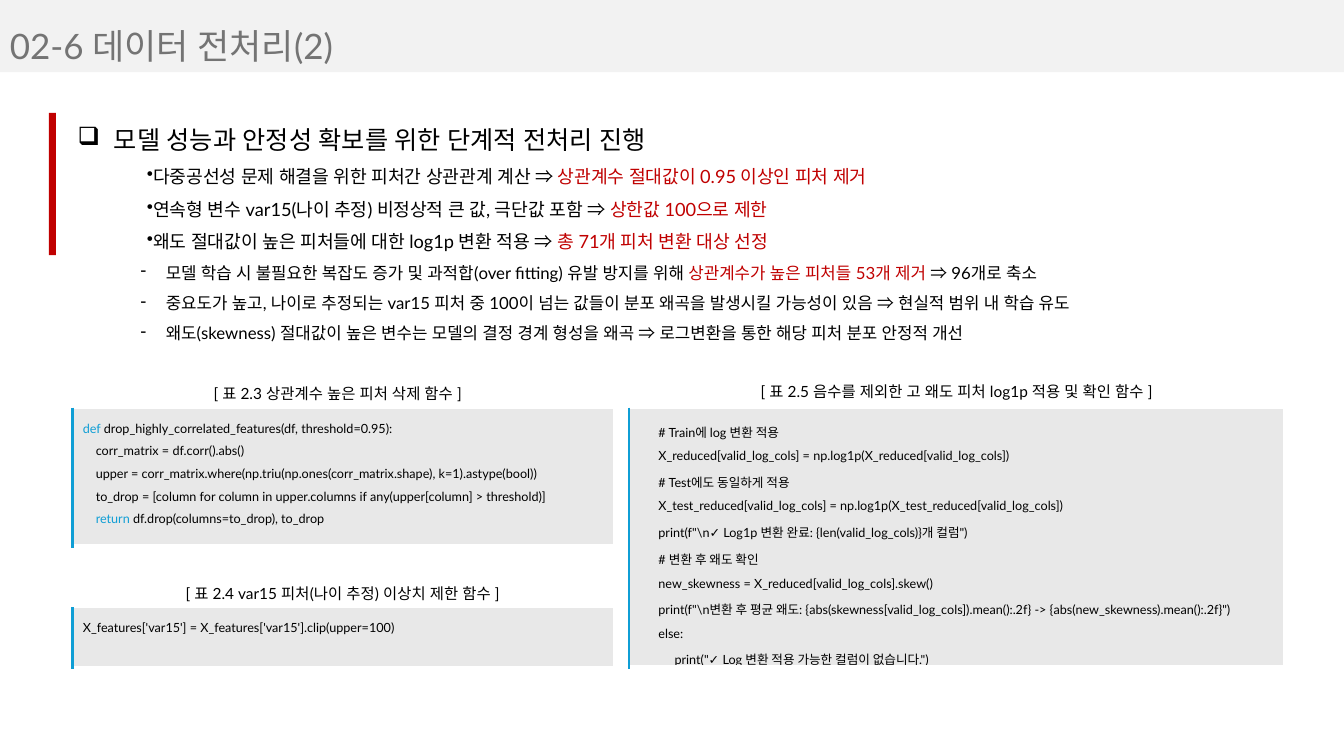
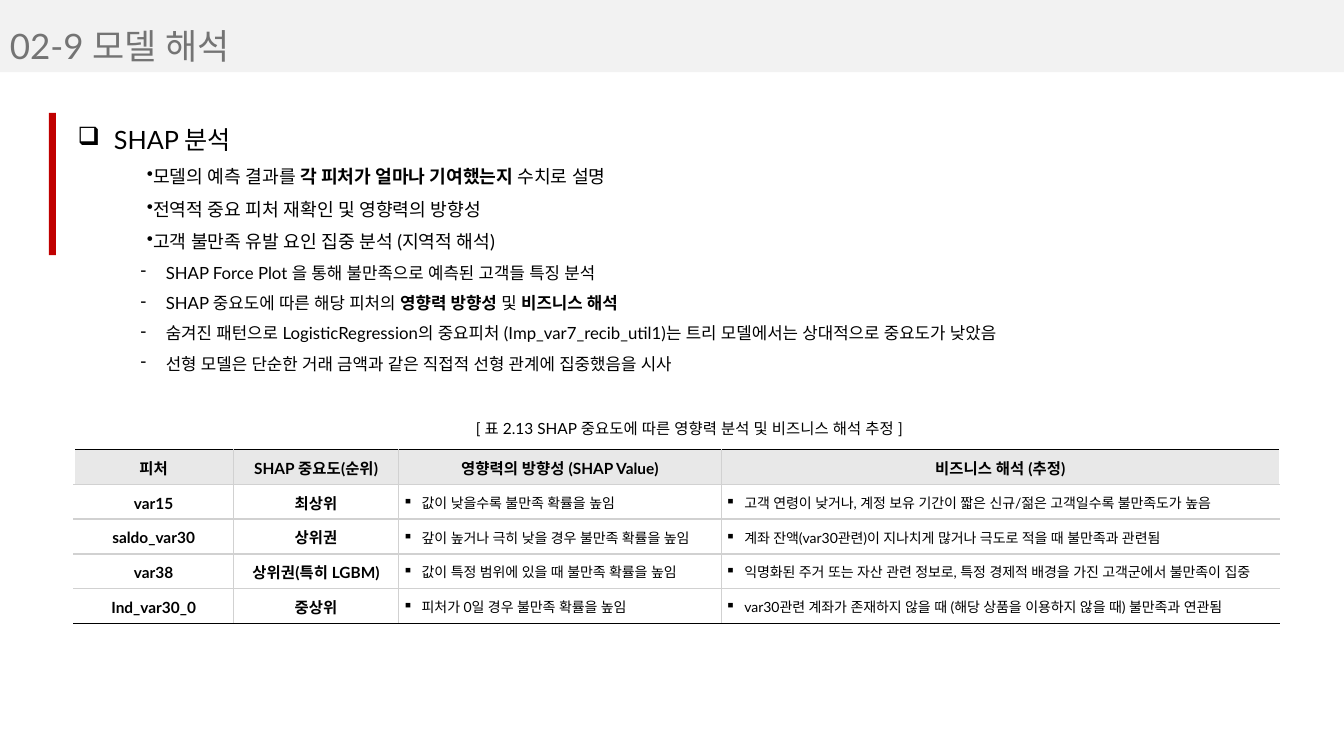
"""Builds two slides on data preprocessing and model interpretation."""
from pptx import Presentation
from pptx.dml.color import RGBColor
from pptx.enum.shapes import MSO_SHAPE as Shape
from pptx.enum.text import MSO_ANCHOR as Anchor, PP_ALIGN as Align
from pptx.oxml.ns import qn
from pptx.util import Pt
from lxml.etree import SubElement

FONT = "Lato"
BLACK = RGBColor(0x00, 0x00, 0x00)
WHITE = RGBColor(0xFF, 0xFF, 0xFF)
RED = RGBColor(0xC0, 0x00, 0x00)
BLUE = RGBColor(0x0F, 0x9E, 0xD5)
TITLE_GRAY = RGBColor(0x74, 0x74, 0x74)
BAND_GRAY = RGBColor(0xF2, 0xF2, 0xF2)
CELL_GRAY = RGBColor(0xE8, 0xE8, 0xE8)
RULE_GRAY = RGBColor(0xD1, 0xD1, 0xD1)

LEVELS = [(18, "❑", 26, -26), (13, "•", 31.5, 18), (12, "-", 63, -18)]


def write(paragraph, runs, size, bold=False, bullet=None, left=0, indent=0, asian=True):
    """Add runs, each a string or a (text, colour, bold) tuple, with an optional bullet."""
    if bullet:
        properties = paragraph._p.get_or_add_pPr()
        properties.set("marL", str(Pt(left)))
        properties.set("indent", str(Pt(indent)))
        SubElement(properties, qn("a:buChar"), char=bullet)
    for part in runs:
        text, color, strong = (part, BLACK, bold) if isinstance(part, str) else part
        run = paragraph.add_run()
        run.text = text
        run.font.name, run.font.size, run.font.bold = FONT, Pt(size), strong
        run.font.color.rgb = color
        if asian:
            SubElement(run._r.get_or_add_rPr(), qn("a:ea"), typeface=FONT)


def draw_borders(cell, **sides):
    """Draw the cell's L, R, T and B borders, each given as (colour, width)."""
    properties = cell._tc.get_or_add_tcPr()
    for side in "LRTB":
        if side in sides:
            color, width = sides[side]
            line = SubElement(properties, qn("a:ln" + side), w=str(Pt(width)))
            SubElement(SubElement(line, qn("a:solidFill")), qn("a:srgbClr"), val=str(color))


PAGES = [
    (
        "02-6 데이터 전처리(2)",
        [
            (0, ["모델 성능과 안정성 확보를 위한 단계적 전처리 진행"]),
            (1, ["다중공선성 문제 해결을 위한 피처간 상관관계 계산 ⇒ ",
                 ("상관계수 절대값이 0.95 이상인 피처 제거", RED, False)]),
            (1, ["연속형 변수 var15(나이 추정) 비정상적 큰 값, 극단값 포함 ⇒ ",
                 ("상한값 100으로 제한", RED, False)]),
            (1, ["왜도 절대값이 높은 피처들에 대한 log1p 변환 적용 ⇒ ",
                 ("총 71개 피처 변환 대상 선정", RED, False)]),
            (2, ["모델 학습 시 불필요한 복잡도 증가 및 과적합(over fitting) 유발 방지를 위해 ",
                 ("상관계수가 높은 피처들 53개 제거", RED, False), " ⇒ 96개로 축소"]),
            (2, ["중요도가 높고, 나이로 추정되는 var15 피처 중 100이 넘는 값들이 분포 왜곡을 "
                 "발생시킬 가능성이 있음 ⇒ 현실적 범위 내 학습 유도"]),
            (2, ["왜도(skewness) 절대값이 높은 변수는 모델의 결정 경계 형성을 왜곡 ⇒ "
                 "로그변환을 통한 해당 피처 분포 안정적 개선"]),
        ],
        [
            ("[ 표 2.3 상관계수 높은 피처 삭제 함수 ]", -11.5, 270.7, 505.5),
            ("[ 표 2.4 var15 피처(나이 추정) 이상치 제한 함수 ]", -8, 414, 505.5),
            ("[ 표 2.5 음수를 제외한 고 왜도 피처 log1p 적용 및 확인 함수 ]", 430.5, 269.3, 505.5),
        ],
    ),
    (
        "02-9 모델 해석",
        [
            (0, ["SHAP 분석"]),
            (1, ["모델의 예측 결과를 ", ("각 피처가 얼마나 기여했는지", BLACK, True), " 수치로 설명"]),
            (1, ["전역적 중요 피처 재확인 및 영향력의 방향성"]),
            (1, ["고객 불만족 유발 요인 집중 분석 (지역적 해석)"]),
            (2, ["SHAP Force Plot 을 통해 불만족으로 예측된 고객들 특징 분석"]),
            (2, ["SHAP 중요도에 따른 해당 피처의 ", ("영향력 방향성", BLACK, True), " 및 ",
                 ("비즈니스 해석", BLACK, True)]),
            (2, ["숨겨진 패턴으로 LogisticRegression의 중요피처 (Imp_var7_recib_util1)는 "
                 "트리 모델에서는 상대적으로 중요도가 낮았음"]),
            (2, ["선형 모델은 단순한 거래 금액과 같은 직접적 선형 관계에 집중했음을 시사"]),
        ],
        [("[ 표 2.13 SHAP 중요도에 따른 영향력 분석 및 비즈니스 해석 추정 ]", 288.7, 296, 407.5)],
    ),
]

CODE_BLOCKS = [
    (52, 291.6, 386, 98.6, [
        [("def ", BLUE, False), "drop_highly_correlated_features(df, threshold=0.95):"],
        ["    corr_matrix = df.corr().abs()"],
        ["    upper = corr_matrix.where(np.triu(np.ones(corr_matrix.shape), k=1).astype(bool))"],
        ["    to_drop = [column for column in upper.columns if any(upper[column] > threshold)]"],
        ["    ", ("return ", BLUE, False), "df.drop(columns=to_drop), to_drop"],
    ]),
    (52, 434.2, 386, 42.5, [
        ["X_features['var15'] = X_features['var15'].clip(upper=100)"],
    ]),
    (449.3, 291.6, 467.3, 185, [
        ["      # Train에 log 변환 적용"],
        ["      X_reduced[valid_log_cols] = np.log1p(X_reduced[valid_log_cols])"],
        ["      # Test에도 동일하게 적용"],
        ["      X_test_reduced[valid_log_cols] = np.log1p(X_test_reduced[valid_log_cols])"],
        ['      print(f"\\n✓ Log1p 변환 완료: {len(valid_log_cols)}개 컬럼")'],
        ["      # 변환 후 왜도 확인"],
        ["      new_skewness = X_reduced[valid_log_cols].skew()"],
        ['      print(f"\\n변환 후 평균 왜도: {abs(skewness[valid_log_cols]).mean():.2f} -> '
         '{abs(new_skewness).mean():.2f}")'],
        ["      else:"],
        ['           print("✓ Log 변환 적용 가능한 컬럼이 없습니다.")'],
    ]),
]

SHAP_WIDTHS = [114, 118, 230.4, 398.6]
SHAP_ROWS = [
    ["피처", "SHAP 중요도(순위)", "영향력의 방향성 (SHAP Value)", "비즈니스 해석 (추정)"],
    ["var15", "최상위", "값이 낮을수록 불만족 확률을 높임",
     "고객 연령이 낮거나, 계정 보유 기간이 짧은 신규/젊은 고객일수록 불만족도가 높음"],
    ["saldo_var30", "상위권", "갚이 높거나 극히 낮을 경우 불만족 확률을 높임",
     "계좌 잔액(var30관련)이 지나치게 많거나 극도로 적을 때 불만족과 관련됨"],
    ["var38", "상위권(특히 LGBM)", "값이 특정 범위에 있을 때 불만족 확률을 높임",
     "익명화된 주거 또는 자산 관련 정보로, 특정 경제적 배경을 가진 고객군에서 불만족이 집중"],
    ["Ind_var30_0", "중상위", "피처가 0일 경우 불만족 확률을 높임",
     "var30관련 계좌가 존재하지 않을 때 (해당 상품을 이용하지 않을 때) 불만족과 연관됨"],
]

deck = Presentation()
deck.slide_width, deck.slide_height = Pt(960), Pt(540)

slides = []
for title, points, captions in PAGES:
    slide = deck.slides.add_slide(deck.slide_layouts[6])
    slides.append(slide)

    for color, *place in [(BAND_GRAY, -13.5, -8, 1011.5, 59.5), (RED, 35, 80.7, 5, 101.5)]:
        bar = slide.shapes.add_shape(Shape.RECTANGLE, *map(Pt, place))
        bar.shadow.inherit = False
        bar.fill.solid()
        bar.fill.fore_color.rgb = color
        bar.line.fill.background()

    heading = slide.shapes.add_textbox(Pt(0), Pt(14.3), Pt(568), Pt(37.2)).text_frame
    heading.word_wrap = True
    write(heading.paragraphs[0], [(title, TITLE_GRAY, False)], 25)

    outline = slide.shapes.add_textbox(Pt(48.3), Pt(74.3), Pt(852), Pt(174)).text_frame
    outline.word_wrap = True
    for number, (level, runs) in enumerate(points):
        point = outline.add_paragraph() if number else outline.paragraphs[0]
        point.level = level
        point.line_spacing = 1.5
        size, bullet, left, indent = LEVELS[level]
        write(point, runs, size, bullet=bullet, left=left, indent=indent)

    for text, left, top, width in captions:
        caption = slide.shapes.add_textbox(Pt(left), Pt(top), Pt(width), Pt(20.6)).text_frame
        caption.word_wrap = True
        caption.paragraphs[0].alignment = Align.CENTER
        write(caption.paragraphs[0], [text], 11)

preprocessing, interpretation = slides

for left, top, width, height, lines in CODE_BLOCKS:
    block = preprocessing.shapes.add_table(1, 1, Pt(left), Pt(top), Pt(width), Pt(height)).table
    block.first_row = block.horz_banding = False
    code = block.cell(0, 0)
    draw_borders(code, L=(BLUE, 2.25), R=(WHITE, 1), T=(WHITE, 1), B=(WHITE, 3))
    code.fill.solid()
    code.fill.fore_color.rgb = CELL_GRAY
    for number, runs in enumerate(lines):
        line = code.text_frame.add_paragraph() if number else code.text_frame.paragraphs[0]
        line.line_spacing = 1.5
        write(line, runs, 9, asian=False)

row_count, column_count = len(SHAP_ROWS), len(SHAP_WIDTHS)
shap = interpretation.shapes.add_table(
    row_count, column_count, Pt(52.8), Pt(321), Pt(sum(SHAP_WIDTHS)), Pt(24.9 * row_count)).table
shap.horz_banding = False
for column, width in zip(shap.columns, SHAP_WIDTHS):
    column.width = Pt(width)
for row, texts in enumerate(SHAP_ROWS):
    for column, text in enumerate(texts):
        cell = shap.cell(row, column)
        sides = {
            "T": (RULE_GRAY if row else BLACK, 1),
            "B": (RULE_GRAY if row < row_count - 1 else BLACK, 1),
        }
        if column:
            sides["L"] = (RULE_GRAY, 1)
        if column < column_count - 1:
            sides["R"] = (RULE_GRAY, 1)
        draw_borders(cell, **sides)
        if row:
            cell.fill.background()
        else:
            cell.fill.solid()
            cell.fill.fore_color.rgb = CELL_GRAY
        cell.vertical_anchor = Anchor.MIDDLE
        cell.margin_left = cell.margin_right = Pt(3)
        cell.margin_top = cell.margin_bottom = Pt(0)
        entry = cell.text_frame.paragraphs[0]
        entry.line_spacing, entry.space_after = 1.15, Pt(8)
        if row and column > 1:
            write(entry, [text], 10, bullet="▪", left=13.5, indent=-13.5)
        else:
            entry.alignment = Align.CENTER
            write(entry, [text], 11, bold=True)

deck.save("out.pptx")
